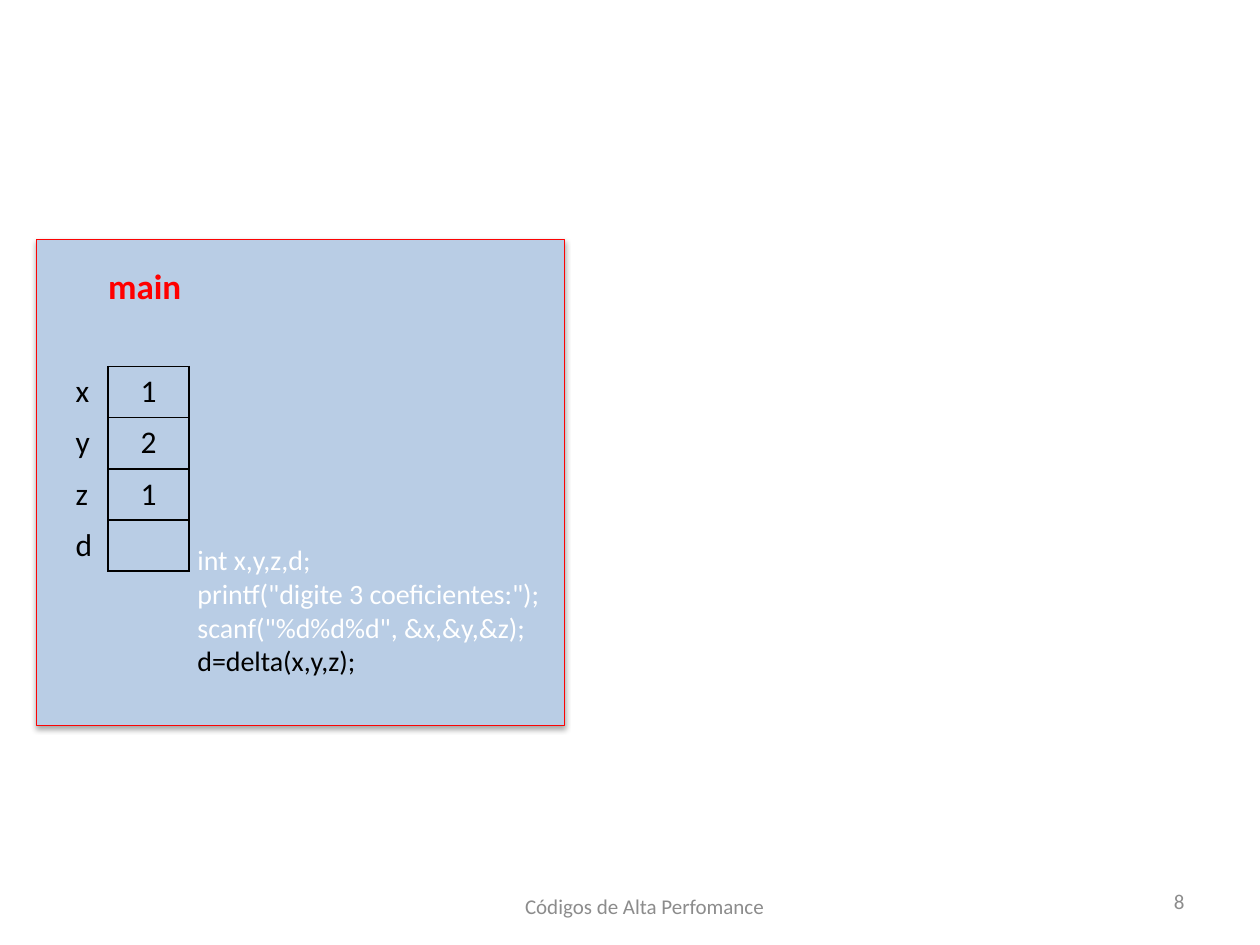
import pptx
import pptx.dml.color
import pptx.enum.shapes
import pptx.enum.text
import pptx.oxml
import pptx.oxml.ns
import pptx.util

Cm = pptx.util.Cm
Pt = pptx.util.Pt
ALIGN = pptx.enum.text.PP_ALIGN
MID = pptx.enum.text.MSO_ANCHOR.MIDDLE
TOP = pptx.enum.text.MSO_ANCHOR.TOP
NS = pptx.oxml.ns.nsdecls("a")

HUES = {"panel": "B9CDE5", "edge": "FC0404", "name": "FF0000",
        "ink": "000000", "done": "FFFFFF", "foot": "8C8C8C"}


class Deck:
    font = "Calibri"

    def __init__(self, slide):
        self.slide = slide

    def hue(self, key):
        return pptx.dml.color.RGBColor.from_string(HUES[key])

    def style(self, para, size, key, bold=False, align=ALIGN.LEFT):
        para.alignment = align
        for run in para.runs:
            run.font.name = self.font
            run.font.size = Pt(size)
            run.font.bold = bold
            run.font.color.rgb = self.hue(key)

    def text(self, box, lines, size, keys, bold=False, align=ALIGN.LEFT, anchor=TOP):
        frame = self.slide.shapes.add_textbox(*map(Cm, box)).text_frame
        frame.word_wrap = True
        frame.vertical_anchor = anchor
        frame.text = "\n".join(lines)
        for para, key in zip(frame.paragraphs, keys):
            self.style(para, size, key, bold, align)

    def panel(self, box):
        kind = pptx.enum.shapes.MSO_SHAPE.RECTANGLE
        shape = self.slide.shapes.add_shape(kind, *map(Cm, box))
        shape.fill.solid()
        shape.fill.fore_color.rgb = self.hue("panel")
        shape.line.color.rgb = self.hue("edge")
        shape.line.width = Pt(0.75)
        shape.shadow.inherit = False
        glow = pptx.oxml.parse_xml(
            f'<a:outerShdw {NS} blurRad="{Pt(3.1)}" dist="{Pt(1.8)}" dir="5400000" '
            f'rotWithShape="0"><a:srgbClr val="{HUES["ink"]}">'
            '<a:alpha val="35000"/></a:srgbClr></a:outerShdw>')
        shape.element.spPr.find(pptx.oxml.ns.qn("a:effectLst")).append(glow)

    def border(self, cell, sides):
        props = cell._tc.get_or_add_tcPr()
        for spot, side in enumerate("LRTB"):
            fill = "<a:noFill/>"
            if side in sides:
                fill = f'<a:solidFill><a:srgbClr val="{HUES["ink"]}"/></a:solidFill>'
            props.insert(spot, pptx.oxml.parse_xml(
                f'<a:ln{side} {NS} w="{Pt(1)}">{fill}</a:ln{side}>'))

    def table(self, left, top, wide, high, rows):
        frame = self.slide.shapes.add_table(
            len(rows), len(wide), Cm(left), Cm(top), Cm(sum(wide)), Cm(high * len(rows)))
        grid = frame.table
        grid.first_row = grid.horz_banding = False
        for col, width in zip(grid.columns, wide):
            col.width = Cm(width)
        for line, row in zip(grid.rows, rows):
            line.height = Cm(high)
            looks = (ALIGN.LEFT, "R"), (ALIGN.CENTER, "LRTB")
            for cell, word, (align, sides) in zip(line.cells, row, looks):
                cell.text_frame.text = word
                self.style(cell.text_frame.paragraphs[0], 18, "ink", align=align)
                cell.fill.background()
                self.border(cell, sides)


def main():
    show = pptx.Presentation()
    show.slide_width, show.slide_height = Cm(25.4), Cm(19.05)
    deck = Deck(show.slides.add_slide(show.slide_layouts[6]))

    deck.text((18.21, 17.65, 5.92, 1.02), ["8"], 12, ["foot"],
              align=ALIGN.RIGHT, anchor=MID)
    deck.panel((0.74, 4.83, 10.64, 9.8))
    deck.text((1.93, 5.21, 3.02, 1.12), ["main"], 20, ["name"], bold=True)
    deck.table(1.27, 7.39, (0.91, 1.63), 1.03,
               [("x", "1"), ("y", "2"), ("z", "1"), ("d", "")])
    deck.text((8.13, 17.48, 9.73, 1.57), ["Códigos de Alta Perfomance"], 12, ["foot"],
              align=ALIGN.CENTER, anchor=MID)
    code = ["int x,y,z,d;", 'printf("digite 3 coeficientes:");',
            'scanf("%d%d%d", &x,&y,&z);', "d=delta(x,y,z);"]
    deck.text((3.73, 10.82, 7.65, 3), code, 16, ["done"] * 3 + ["ink"])

    show.save("out.pptx")


if __name__ == "__main__":
    main()
